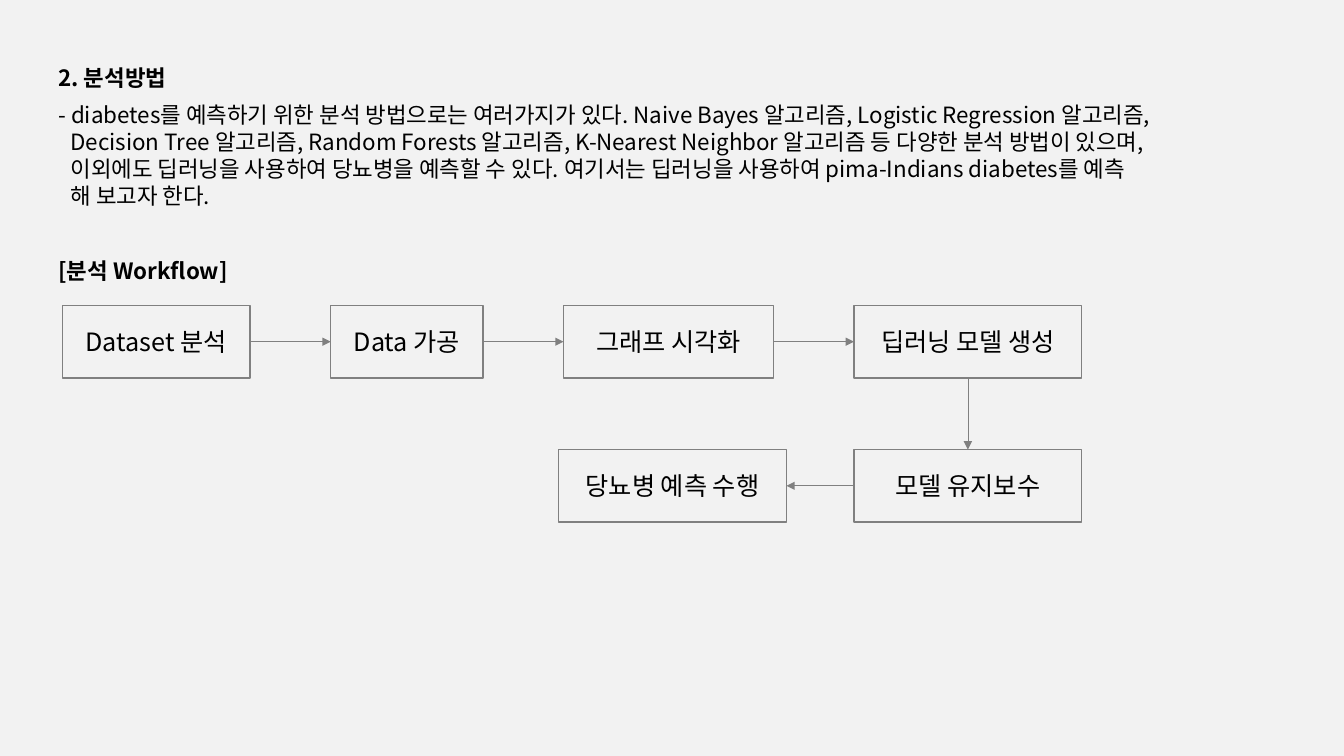
from itertools import pairwise
from lxml import etree
from pptx import Presentation
from pptx.dml.color import RGBColor
from pptx.enum.shapes import MSO_CONNECTOR, MSO_SHAPE
from pptx.enum.text import MSO_ANCHOR, MSO_AUTO_SIZE, PP_ALIGN
from pptx.oxml.ns import qn
from pptx.util import Inches, Pt

# Content
TITLE = "2. 분석방법"
BODY = [
    "- diabetes를 예측하기 위한 분석 방법으로는 여러가지가 있다. Naive Bayes 알고리즘, Logistic Regression 알고리즘,",
    "Decision Tree 알고리즘, Random Forests 알고리즘, K-Nearest Neighbor 알고리즘 등 다양한 분석 방법이 있으며,",
    "이외에도 딥러닝을 사용하여 당뇨병을 예측할 수 있다. 여기서는 딥러닝을 사용하여 pima-Indians diabetes를 예측",
    "해 보고자 한다.",
]
HEADING = "[분석 Workflow]"
TOP_STEPS = [("Dataset 분석", 1.86), ("Data 가공", 1.51),
             ("그래프 시각화", 2.08), ("딥러닝 모델 생성", 2.26)]
BOTTOM_STEPS = ["모델 유지보수", "당뇨병 예측 수행"]  # right to left

FONT = "Noto Sans CJK KR"
BLACK, GRAY, PAPER = "000000", "808080", "F2F2F2"
FLOW_LEFT, TOP_ROW, BOTTOM_ROW = 0.62, 3.03, 4.46
STEP_H, TOP_GAP, BOTTOM_GAP = 0.72, 0.8, 0.67
TOP, LEFT, BOTTOM, RIGHT = range(4)  # connection sites of a rectangle


def color(value):
    return RGBColor.from_string(value)


def format_text(tf, size, bold=False, align=PP_ALIGN.LEFT):
    for p in tf.paragraphs:
        p.alignment = align
        for r in p.runs:
            r.font.size, r.font.bold, r.font.name = Pt(size), bold, FONT
            r.font.color.rgb = color(BLACK)
            ea = etree.SubElement(r.font._element, qn("a:ea"))
            ea.set("typeface", FONT)


def write_block(sp, box, text, bold=False):
    sp.left, sp.top, sp.width, sp.height = map(Inches, box)
    tf = sp.text_frame
    tf.text = text
    tf.word_wrap = True
    tf.auto_size = MSO_AUTO_SIZE.NONE
    tf.vertical_anchor = MSO_ANCHOR.TOP
    tf.margin_left, tf.margin_right = Inches(0.15), Inches(0.1)
    tf.margin_top = tf.margin_bottom = Inches(0.05)
    format_text(tf, 16, bold)
    for p in tf.paragraphs:
        p.line_spacing = Pt(19.3)
        p.space_before = p.space_after = Pt(0)
    return tf


def add_step(text, left, top, width):
    sp = slide.shapes.add_shape(MSO_SHAPE.RECTANGLE, Inches(left), Inches(top),
                                Inches(width), Inches(STEP_H))
    sp.shadow.inherit = False
    sp.fill.background()
    sp.line.color.rgb, sp.line.width = color(GRAY), Pt(1)
    tf = sp.text_frame
    tf.text = text
    tf.vertical_anchor = MSO_ANCHOR.MIDDLE
    format_text(tf, 18, align=PP_ALIGN.CENTER)
    return sp


def add_arrow(start, start_site, end, end_site):
    line = slide.shapes.add_connector(MSO_CONNECTOR.STRAIGHT, 0, 0, 0, 0)
    line.begin_connect(start, start_site)
    line.end_connect(end, end_site)
    line.line.color.rgb, line.line.width = color(GRAY), Pt(0.5)
    etree.SubElement(line.line._get_or_add_ln(), qn("a:tailEnd")).set("type", "triangle")
    etree.SubElement(line._element.spPr, qn("a:effectLst"))


prs = Presentation()
prs.slide_width, prs.slide_height = Inches(13.33), Inches(7.5)
slide = prs.slides.add_slide(prs.slide_layouts[5])
slide.background.fill.solid()
slide.background.fill.fore_color.rgb = color(PAPER)

# Title, explanation and workflow heading
write_block(slide.shapes.title, (0.43, 0.58, 2.17, 0.37), TITLE, bold=True)
body = slide.shapes.add_textbox(0, 0, 0, 0)
tf = write_block(body, (0.43, 0.95, 12.14, 1.18), "\n".join(BODY))
for p in tf.paragraphs[1:]:
    p._p.get_or_add_pPr().set("marL", str(Inches(0.12)))
heading = slide.shapes.add_textbox(0, 0, 0, 0)
write_block(heading, (0.43, 2.5, 2.17, 0.37), HEADING, bold=True)

# Top row runs left to right
top_row, left = [], FLOW_LEFT
for text, width in TOP_STEPS:
    top_row.append(add_step(text, left, TOP_ROW, width))
    last_left, left = left, left + width + TOP_GAP

# Bottom row runs back from under the last step
bottom_row = [add_step(text, last_left - i * (width + BOTTOM_GAP), BOTTOM_ROW, width)
              for i, text in enumerate(BOTTOM_STEPS)]

# Arrows
for start, end in pairwise(top_row):
    add_arrow(start, RIGHT, end, LEFT)
add_arrow(top_row[-1], BOTTOM, bottom_row[0], TOP)
for start, end in pairwise(bottom_row):
    add_arrow(start, LEFT, end, RIGHT)

prs.save("out.pptx")
